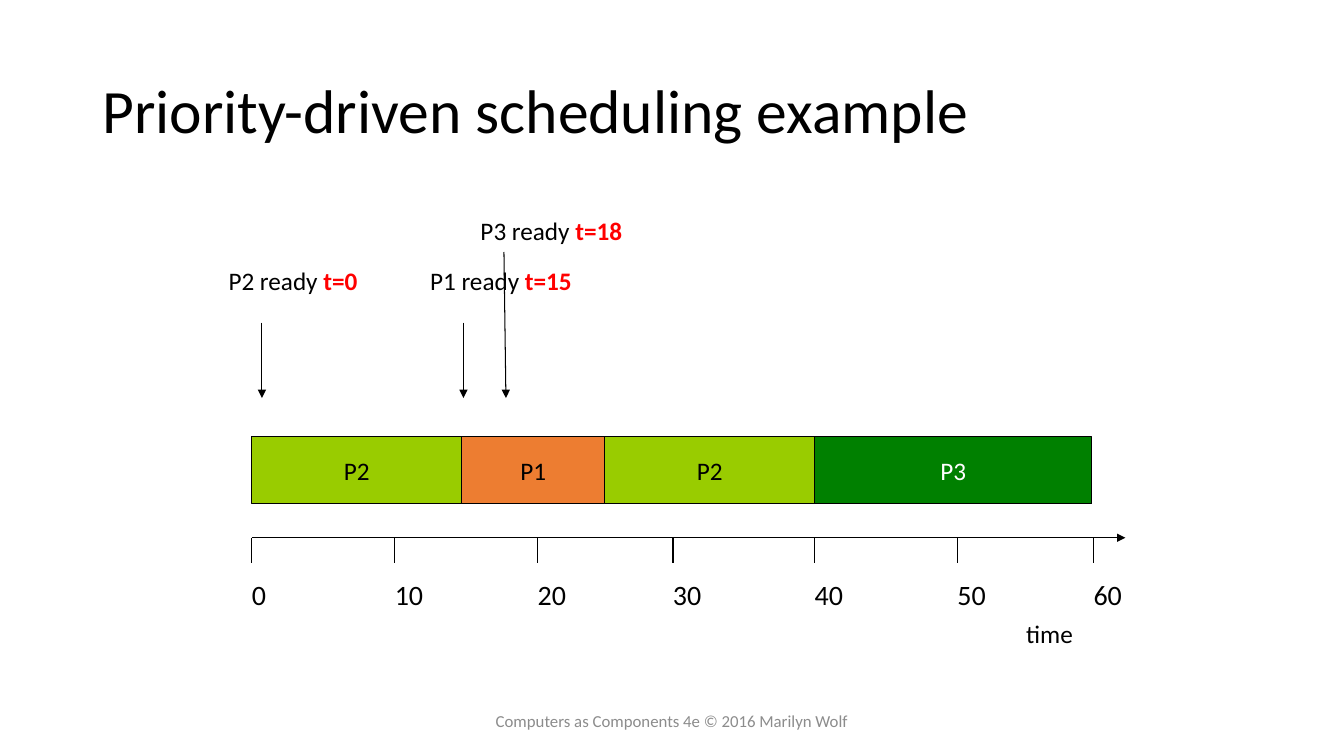
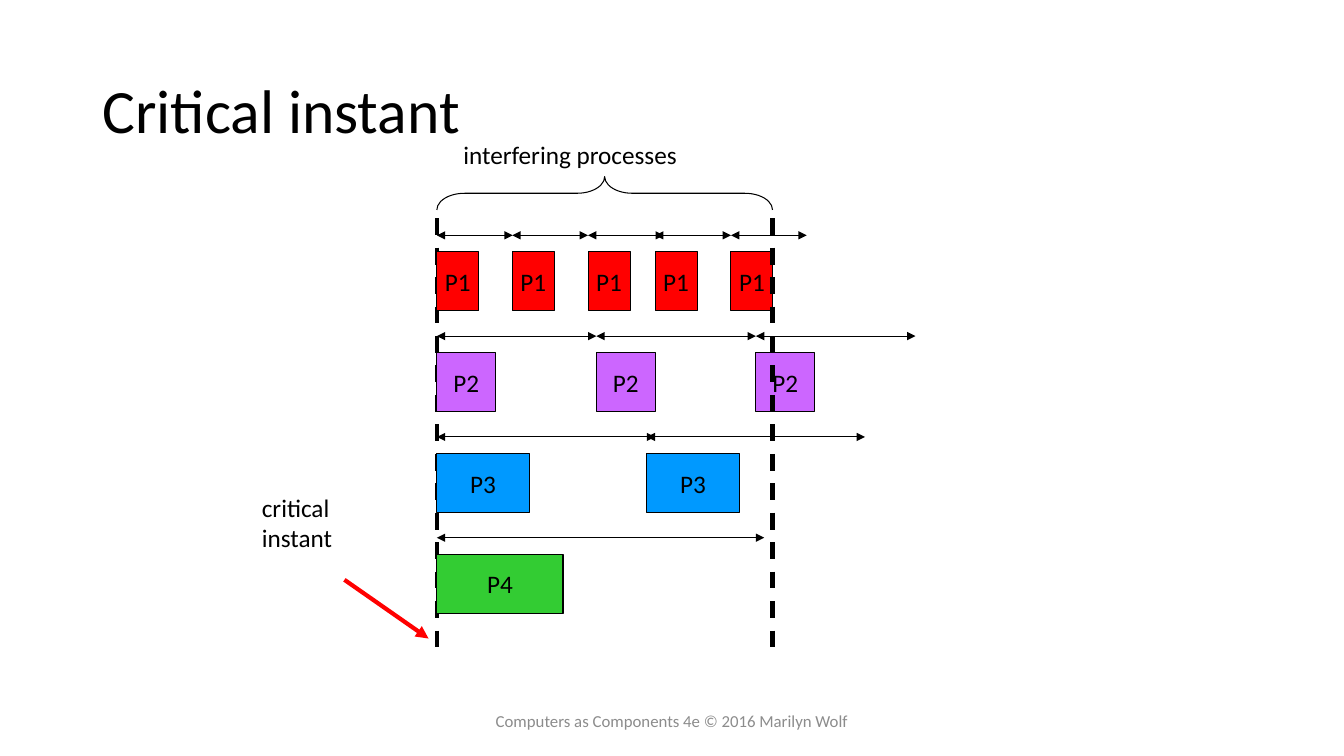
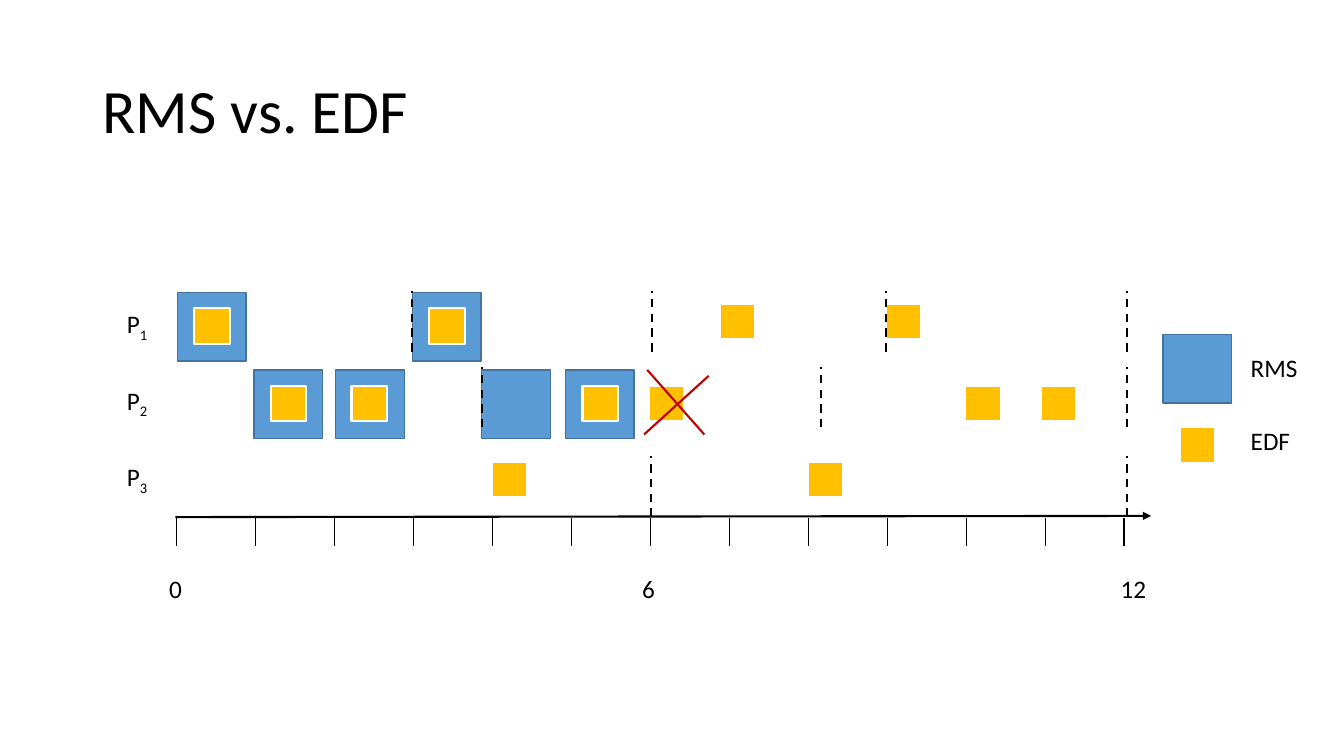
"""Build three slides on real-time process scheduling."""
from lxml.etree import SubElement
from pptx import Presentation
from pptx.dml.color import RGBColor
from pptx.enum.dml import MSO_LINE_DASH_STYLE as Dash
from pptx.enum.shapes import MSO_CONNECTOR as Connector, MSO_SHAPE as Shape
from pptx.enum.text import MSO_ANCHOR as Anchor, MSO_AUTO_SIZE as AutoSize, PP_ALIGN as Align
from pptx.oxml.ns import qn
from pptx.util import Cm, Pt

FONT = "Calibri"
COLOURS = {
    "black": "000000", "white": "FFFFFF", "grey": "8C8C8C", "red": "FF0000",
    "lime": "99CC00", "orange": "ED7D31", "dark green": "008000",
    "green": "33CC33", "blue": "0099FF", "purple": "CC66FF",
    "rms": "5B9BD5", "rms edge": "43739E", "edf": "FFC000", "miss": "C00000",
}
FOOTER = "Computers as Components 4e © 2016 Marilyn Wolf"

SCHEDULE = [
    ("P2", 6.35, 11.64, "lime", "black"),
    ("P1", 11.64, 15.24, "orange", "black"),
    ("P2", 15.24, 20.53, "lime", "black"),
    ("P3", 20.53, 27.52, "dark green", "white"),
]
TIME_TICKS = [6.35, 9.95, 13.55, 16.96, 20.53, 24.13, 27.56]
READY_EVENTS = [
    ("P2 ready ", "t=0", 5.51, 6.56, 3.81, (6.6, 8.13, 6.6)),
    ("P1 ready ", "t=15", 6.56, 6.56, 4.11, (11.68, 8.13, 11.68)),
    ("P3 ready ", "t=18", 11.86, 5.29, 4.11, (12.7, 6.35, 12.75)),
]
READY_EVENTS[1] = ("P1 ready ", "t=15", 10.59, 6.56, 4.11, (11.68, 8.13, 11.68))

INSTANT, DEADLINE = 11.01, 19.47
PROCESSES = [
    ("P1", "red", 1.06, 1.91, [INSTANT, 12.91, 14.82, 16.51, 18.42]),
    ("P2", "purple", 1.48, 4.02, [INSTANT, 15.03, 19.05]),
    ("P3", "blue", 2.33, 5.5, [INSTANT, 16.3]),
    ("P4", "green", 3.18, 8.25, [INSTANT]),
]

RMS_SIZE, EDF_SIZE = 1.73, 0.89
RMS_ROWS = [(7.37, [4.47, 10.39]), (9.32, [6.4, 8.46, 12.14, 14.25])]
EDF_ROWS = [
    (7.77, [4.9, 10.82]),
    (7.65, [18.14, 22.33]),
    (9.73, [6.83, 8.86, 14.68, 16.36, 24.33, 26.24]),
    (11.63, [12.4, 20.35]),
]
DEADLINE_ROWS = [
    (7.34, [10.39, 16.43, 22.33, 28.4]),
    (9.25, [12.14, 20.68, 28.4]),
    (11.5, [16.41, 28.4]),
]
PERIOD_LABELS = [("0", 4.01, 0.84), ("6", 15.93, 0.84), ("12", 27.99, 1.17)]
LEGEND = [("RMS", 8.76, 1.7), ("EDF", 10.59, 1.52)]
MISSED = [(16.31, 9.32, 17.75, 10.95), (17.86, 9.47, 16.23, 10.95)]


def rgb(name):
    return RGBColor.from_string(COLOURS[name])


def add_runs(para, runs, size, colour):
    for text, style in runs:
        span = para.add_run()
        span.text = text
        span.font.name = FONT
        span.font.size = Pt(size)
        span.font.bold = style.get("bold", False)
        span.font.color.rgb = rgb(style.get("colour", colour))
        if style.get("subscript"):
            span._r.get_or_add_rPr().set("baseline", "-25000")


def add_text(slide, at, paragraphs, size=18, colour="black", align=Align.LEFT,
             anchor=Anchor.TOP, wrap=False, spacing=None):
    box = slide.shapes.add_textbox(*map(Cm, at))
    frame = box.text_frame
    frame.word_wrap = wrap
    frame.auto_size = AutoSize.NONE if wrap else AutoSize.SHAPE_TO_FIT_TEXT
    frame.vertical_anchor = anchor
    for index, runs in enumerate(paragraphs):
        para = frame.add_paragraph() if index else frame.paragraphs[0]
        para.alignment = align
        para.line_spacing = spacing
        add_runs(para, runs, size, colour)
    return box


def add_label(slide, left, top, width, text, size=18, height=1.02):
    return add_text(slide, (left, top, width, height), [[(text, {})]], size)


def add_box(slide, at, fill, edge="black", weight=0.75, text="", colour="black",
            preset=Shape.RECTANGLE):
    box = slide.shapes.add_shape(preset, *map(Cm, at))
    box.shadow.inherit = False
    if fill:
        box.fill.solid()
        box.fill.fore_color.rgb = rgb(fill)
    else:
        box.fill.background()
    box.line.color.rgb = rgb(edge)
    box.line.width = Pt(weight)
    if text:
        frame = box.text_frame
        frame.word_wrap = False
        frame.vertical_anchor = Anchor.MIDDLE
        frame.paragraphs[0].alignment = Align.CENTER
        add_runs(frame.paragraphs[0], [(text, {})], 18, colour)
    return box


def add_line(slide, x1, y1, x2, y2, colour="black", weight=0.75, dashed=False, ends=()):
    line = slide.shapes.add_connector(Connector.STRAIGHT, *map(Cm, (x1, y1, x2, y2)))
    line.line.color.rgb = rgb(colour)
    line.line.width = Pt(weight)
    if dashed:
        line.line.dash_style = Dash.DASH
    properties = line._element.spPr
    for end in ends:
        SubElement(properties.find(qn("a:ln")), qn(f"a:{end}")).set("type", "triangle")
    SubElement(properties, qn("a:effectLst"))


def add_slide(deck, title, footer=True):
    slide = deck.slides.add_slide(deck.slide_layouts[6])
    add_text(slide, (2.33, 1.01, 29.21, 3.68), [[(title, {})]], 44,
             anchor=Anchor.MIDDLE, wrap=True, spacing=0.9)
    if footer:
        add_text(slide, (11.22, 17.66, 11.43, 1.01), [[(FOOTER, {})]], 12, "grey",
                 Align.CENTER, Anchor.MIDDLE, wrap=True)
    return slide


def build_priority(deck):
    slide = add_slide(deck, "Priority-driven scheduling example")
    add_line(slide, 6.35, 13.55, 28.36, 13.55, ends=["tailEnd"])
    add_label(slide, 25.61, 15.45, 1.7, "time")
    for label, moment, left, top, width, (x1, y1, x2) in READY_EVENTS:
        add_line(slide, x1, y1, x2, 10.03, ends=["tailEnd"])
        runs = [(label, {}), (moment, {"bold": True, "colour": "red"})]
        add_text(slide, (left, top, width, 1.02), [runs])
    for index, x in enumerate(TIME_TICKS):
        add_line(slide, x, 13.55, x, 14.18)
        add_label(slide, x - 0.25, 14.42, 1.24 if index else 0.86, str(index * 10), 20, 1.11)
    for name, start, end, fill, colour in SCHEDULE:
        add_box(slide, (start, 11.01, end - start, 1.69), fill, text=name, colour=colour)


def build_critical(deck):
    slide = add_slide(deck, "Critical instant")
    add_line(slide, INSTANT, 5.5, INSTANT, 16.51, weight=3, dashed=True)
    for row, (name, fill, width, period, starts) in enumerate(PROCESSES):
        top = 5.93 + 2.54 * row
        for start in starts:
            add_line(slide, start + period, top, start, top, ends=["headEnd", "tailEnd"])
            add_box(slide, (start, top + 0.42, width, 1.48), fill, text=name)
    add_line(slide, 8.68, 14.61, 10.8, 16.09, "red", 3, ends=["tailEnd"])
    add_text(slide, (6.35, 12.28, 2.31, 1.8), [[("critical", {})], [("instant", {})]])
    add_line(slide, DEADLINE, 5.5, DEADLINE, 16.51, weight=3, dashed=True)
    brace = add_box(slide, (14.82, 0.64, 0.84, 8.46), None, preset=Shape.RIGHT_BRACE)
    brace.rotation = 270
    brace.adjustments[0] = 0.83
    brace.adjustments[1] = 0.5
    label = add_label(slide, 11.43, 3.39, 5.94, "interfering processes")
    label.fill.solid()
    label.fill.fore_color.rgb = rgb("white")


def add_rms(slide, left, top):
    add_box(slide, (left, top, RMS_SIZE, RMS_SIZE), "rms", "rms edge", 1)


def add_edf(slide, left, top):
    add_box(slide, (left, top, EDF_SIZE, EDF_SIZE), "edf", "white", 1.5)


def build_comparison(deck):
    slide = add_slide(deck, "RMS vs. EDF", footer=False)
    add_line(slide, 4.42, 13.03, 29.01, 13, weight=1.5, ends=["tailEnd"])
    for index in range(13):
        x = 4.45 + 1.99 * index
        add_line(slide, x, 13.05, x, 13.76, weight=1)
    for row in range(3):
        runs = [("P", {}), (str(row + 1), {"subscript": True})]
        add_text(slide, (2.95, 7.65 + 1.93 * row, 1.07, 1.02), [runs])
    add_rms(slide, 29.31, 8.43)
    add_edf(slide, 29.74, 10.77)
    for text, top, width in LEGEND:
        add_label(slide, 31.27, top, width, text)
    for rows, add_job in ((RMS_ROWS, add_rms), (EDF_ROWS, add_edf)):
        for top, lefts in rows:
            for left in lefts:
                add_job(slide, left, top)
    for text, left, width in PERIOD_LABELS:
        add_label(slide, left, 14.33, width, text)
    for top, positions in DEADLINE_ROWS:
        for x in positions:
            add_line(slide, x, top + 1.52, x, top, weight=1.5, dashed=True)
    for stroke in MISSED:
        add_line(slide, *stroke, colour="miss", weight=1.5)


def main():
    deck = Presentation()
    deck.slide_width, deck.slide_height = Cm(33.87), Cm(19.05)
    build_priority(deck)
    build_critical(deck)
    build_comparison(deck)
    deck.save("out.pptx")


if __name__ == "__main__":
    main()
